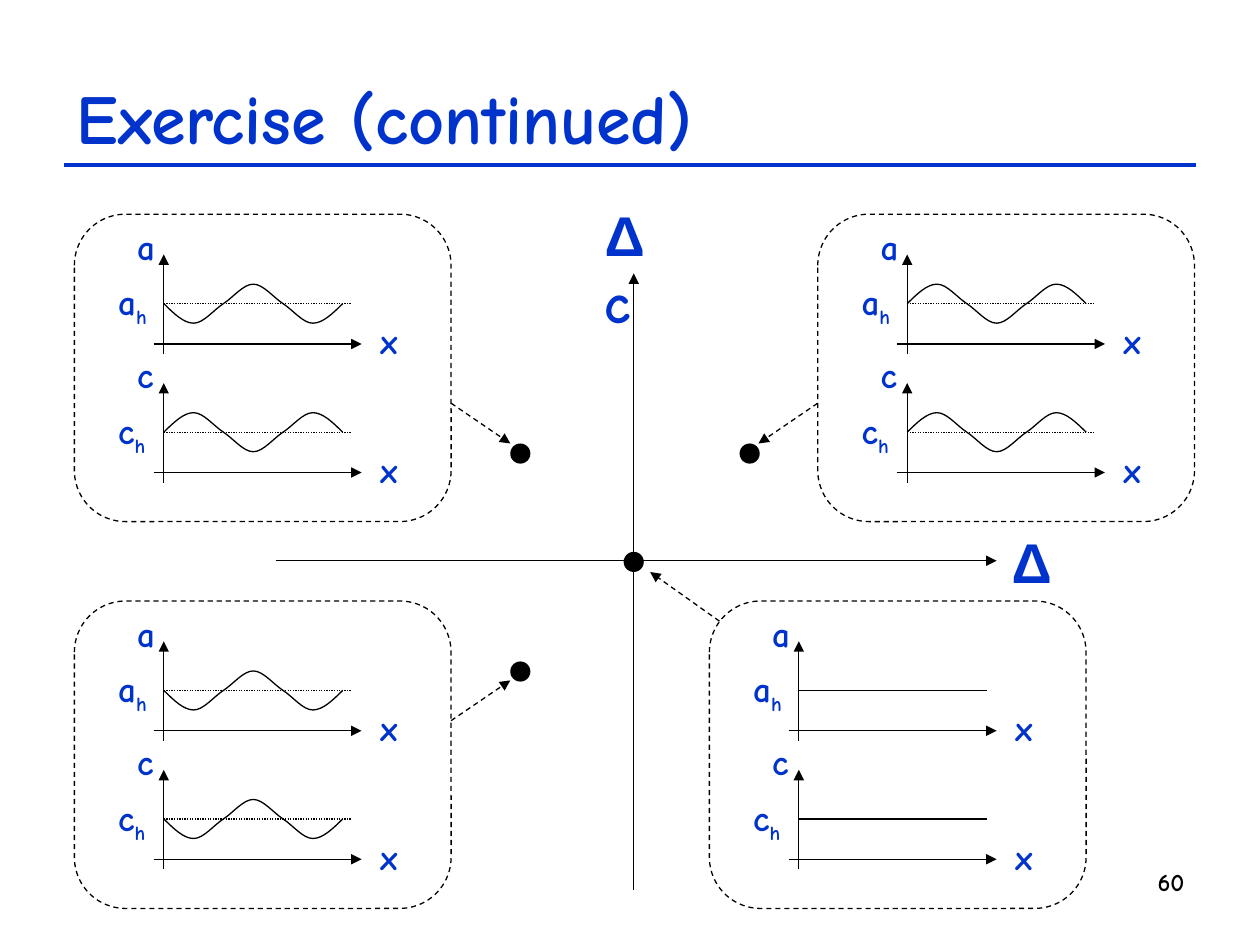
from lxml import etree
from pptx import Presentation
from pptx.dml.color import RGBColor
from pptx.enum.dml import MSO_LINE
from pptx.enum.shapes import MSO_CONNECTOR, MSO_SHAPE
from pptx.enum.text import MSO_ANCHOR, MSO_AUTO_SIZE, PP_ALIGN
from pptx.oxml.ns import qn
from pptx.util import Inches, Pt

LINE = MSO_CONNECTOR.STRAIGHT
OVAL, ROUND = MSO_SHAPE.OVAL, MSO_SHAPE.ROUNDED_RECTANGLE
DASH, DOTS = MSO_LINE.DASH, MSO_LINE.ROUND_DOT
LEFT, RIGHT = PP_ALIGN.LEFT, PP_ALIGN.RIGHT
MIDDLE, GROW = MSO_ANCHOR.MIDDLE, MSO_AUTO_SIZE.SHAPE_TO_FIT_TEXT

COLORS = {"blue": "0033CC", "black": "000000", "white": "FFFFFF"}
FONT, GREEK = "Comic Neue", "Arial"

TITLE = "Exercise (continued)"
NUMBER = "60"
AXES = [((2.19, 4.45), (7.91, 4.45)), ((5.03, 7.06), (5.03, 2.17))]
DELTAS = [("a", (7.93, 4.14, 0.7, 0.64)), ("c", (4.7, 1.54, 0.68, 0.64))]

# Waves give the first swing of each plot: 1 up, -1 down, 0 flat
PANELS = [
    {"at": (0.59, 1.7), "dot": (4.05, 3.52), "waves": {"a": -1, "c": 1},
     "arrow": ((3.58, 3.2), (4.05, 3.52))},
    {"at": (5.63, 4.77), "dot": (4.95, 4.38), "waves": {"a": 0, "c": 0},
     "arrow": ((5.71, 4.93), (5.16, 4.54))},
    {"at": (6.49, 1.7), "dot": (5.87, 3.52), "waves": {"a": 1, "c": 1},
     "arrow": ((6.49, 3.2), (6.02, 3.52))},
    {"at": (0.59, 4.77), "dot": (4.05, 5.25), "waves": {"a": -1, "c": -1},
     "arrow": ((3.58, 5.72), (4.05, 5.4))},
]
PANEL_W, PANEL_H, DOT = 2.99, 2.44, 0.16
PLOT_GAP = 1.02
WAVE_W, WAVE_H = 1.42, 0.155
# Heights of the Bezier points, evenly spaced from left to right
WAVE = [0, 0.5, 1, 1, 1, 0.33, 0, -0.33, -1, -1,
        -1, -0.33, 0, 0.33, 1, 1, 1, 0.5, 0]


def color(name):
    return RGBColor.from_string(COLORS[name])


def style(font, **extra):
    values = {"name": FONT, "size": Pt(20), "bold": True, **extra}
    ink = values.pop("ink", "blue")
    for key, value in values.items():
        setattr(font, key, value)
    font.color.rgb = color(ink)


def add_line(shapes, start, end, ink="black", width=0.75, dash=None, arrow=False):
    points = [Inches(v) for v in (*start, *end)]
    line = shapes.add_connector(LINE, *points)
    line.line.color.rgb = color(ink)
    line.line.width = Pt(width)
    if dash:
        line.line.dash_style = dash
    props = line._element.spPr
    if arrow:
        etree.SubElement(props.find(qn("a:ln")), qn("a:tailEnd"), type="triangle")
    etree.SubElement(props, qn("a:effectLst"))


def add_shape(shapes, kind, box, fill, dash=None):
    shape = shapes.add_shape(kind, *map(Inches, box))
    shape.shadow.inherit = False
    shape.fill.solid()
    shape.fill.fore_color.rgb = color(fill)
    if dash:
        shape.line.color.rgb = color("black")
        shape.line.width = Pt(0.75)
        shape.line.dash_style = dash
    else:
        shape.line.fill.background()


def add_text(shapes, box, runs):
    """Add one paragraph; runs are (text, font values) pairs."""
    frame = shapes.add_textbox(*map(Inches, box)).text_frame
    frame.word_wrap = False
    frame.auto_size = GROW
    para = frame.paragraphs[0]
    for text, values in runs:
        run = para.add_run()
        run.text = text
        style(run.font, **values)
    return para


def add_wave(shapes, left, mid, sign):
    """Draw the points as straight legs, then turn each three into a curve."""
    step = WAVE_W / (len(WAVE) - 1)
    points = [(Inches(left + i * step), Inches(mid - sign * WAVE_H * y))
              for i, y in enumerate(WAVE)]
    form = shapes.build_freeform(*points[0])
    form.add_line_segments(points[1:], close=False)
    wave = form.convert_to_shape()
    wave.shadow.inherit = False
    wave.fill.background()
    wave.line.color.rgb = color("black")
    wave.line.width = Pt(0.75)
    legs = list(wave._element.iter(qn("a:lnTo")))
    track = legs[0].getparent()
    for i in range(0, len(legs), 3):
        curve = etree.SubElement(track, qn("a:cubicBezTo"))
        for leg in legs[i:i + 3]:
            curve.append(leg[0])
            track.remove(leg)


def add_plot(shapes, x, y, name, sign):
    """Draw one small plot; x is its upright axis, y the top of its name."""
    base, mid = y + 0.99, y + 0.67
    sub = add_text(shapes, (x - 0.46, y + 0.44, 0.46, 0.48), [(name, {}), ("h", {})])
    sub.runs[1].font._element.set("baseline", "-25000")
    add_line(shapes, (x - 0.08, base), (x + 1.57, base), arrow=True)
    add_line(shapes, (x, base + 0.08), (x, base - 0.71), arrow=True)
    add_text(shapes, (x - 0.31, y, 0.34, 0.44), [(name, {})])
    add_text(shapes, (x + 1.62, y + 0.75, 0.33, 0.44), [("x", {})])
    add_line(shapes, (x, mid), (x + 1.49, mid), dash=DOTS if sign else None)
    if sign:
        add_wave(shapes, x, mid, sign)


def add_panel(shapes, panel):
    left, top = panel["at"]
    add_shape(shapes, OVAL, (*panel["dot"], DOT, DOT), "black")
    add_shape(shapes, ROUND, (left, top, PANEL_W, PANEL_H), "white", DASH)
    for i, (name, sign) in enumerate(panel["waves"].items()):
        add_plot(shapes, left + 0.71, top + 0.04 + i * PLOT_GAP, name, sign)
    add_line(shapes, *panel["arrow"], dash=DASH, arrow=True)


def add_title(slide):
    title = slide.shapes.title
    spot = {"left": 0.51, "top": 0.3, "width": 8.99, "height": 1.25}
    for key, value in spot.items():
        setattr(title, key, Inches(value))
    title.text_frame.text = TITLE
    title.text_frame.vertical_anchor = MIDDLE
    para = title.text_frame.paragraphs[0]
    para.alignment = LEFT
    style(para.runs[0].font, size=Pt(40))


def main():
    deck = Presentation()
    deck.slide_width, deck.slide_height = Inches(10), Inches(7.5)
    slide = deck.slides.add_slide(deck.slide_layouts[5])
    shapes = slide.shapes
    add_title(slide)
    add_line(shapes, (0.51, 1.31), (9.49, 1.31), "blue", 2.25)
    page = add_text(shapes, (8.54, 6.83, 0.96, 0.52),
                    [(NUMBER, {"size": Pt(14), "ink": "black"})])
    page.alignment = RIGHT
    for name, box in DELTAS:
        add_text(shapes, box, [("Δ", {"size": Pt(32), "name": GREEK}),
                               (name, {"size": Pt(32)})])
    for start, end in AXES:
        add_line(shapes, start, end, arrow=True)
    for panel in PANELS:
        add_panel(shapes.add_group_shape().shapes, panel)
    deck.save("out.pptx")


if __name__ == "__main__":
    main()
